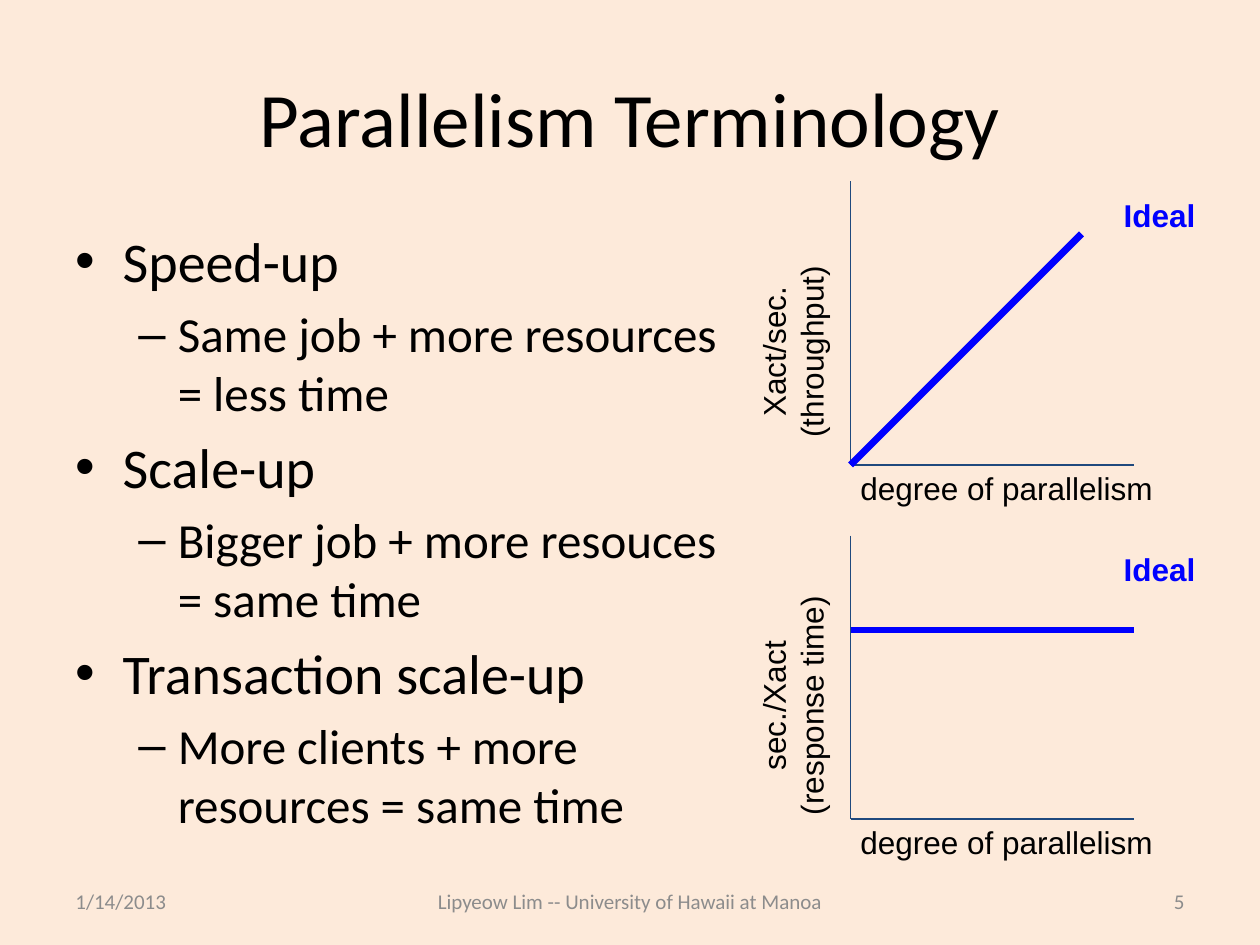
import pptx
import pptx.dml.color
import pptx.enum.shapes
import pptx.enum.text
import pptx.oxml
import pptx.oxml.ns
import pptx.util

Pt = pptx.util.Pt
ALIGN = pptx.enum.text.PP_ALIGN
ANCHOR = pptx.enum.text.MSO_ANCHOR
FIT = pptx.enum.text.MSO_AUTO_SIZE
NS = pptx.oxml.ns.nsdecls("a")


def color(code):
    return pptx.dml.color.RGBColor.from_string(code)


def style(item, values):
    for name, value in values.items():
        setattr(item, name, value)


class Deck:
    """Draws styled elements on the current slide."""

    ink, navy, blue, gray = "000000", "1F497D", "0000FF", "8C8C8C"
    label = {"name": "Arial", "size": Pt(18)}
    levels = [
        {"char": "•", "size": 32, "left": 27, "hang": 27},
        {"char": "–", "size": 28, "left": 58.5, "hang": 22.5},
    ]

    def __init__(self):
        self.file = pptx.Presentation()
        style(self.file, {"slide_width": Pt(720), "slide_height": Pt(540)})
        self.slide = self.file.slides.add_slide(self.file.slide_layouts[6])
        fill = self.slide.background.fill
        fill.solid()
        fill.fore_color.rgb = color("FDEADA")

    def box(self, left, top, width, height, **frame):
        shape = self.slide.shapes.add_textbox(Pt(left), Pt(top), Pt(width), Pt(height))
        style(shape.text_frame, {"word_wrap": True, **frame})
        return shape

    def words(self, para, text, font, ink=ink):
        run = para.add_run()
        run.text = text
        style(run.font, font)
        run.font.color.rgb = color(ink)

    def text(self, place, lines, font, ink=ink, align=ALIGN.LEFT, turn=0, **frame):
        shape = self.box(*place, **frame)
        shape.rotation = turn
        for i, line in enumerate(lines):
            para = shape.text_frame.add_paragraph() if i else shape.text_frame.paragraphs[0]
            para.alignment = align
            self.words(para, line, font, ink)

    def tag(self, place, lines, bold=False, **look):
        self.text(place, lines, {**self.label, "bold": bold},
                  word_wrap=False, auto_size=FIT.SHAPE_TO_FIT_TEXT, **look)

    def bullets(self, place, items):
        frame = self.box(*place).text_frame
        for i, (level, line) in enumerate(items):
            para = frame.add_paragraph() if i else frame.paragraphs[0]
            look = self.levels[level]
            style(para, {"level": level, "space_before": Pt(look["size"] * 0.2 if i else 0)})
            props = para._p.get_or_add_pPr()
            props.set("marL", str(Pt(look["left"])))
            props.set("indent", str(-Pt(look["hang"])))
            for bit in ('buFont %s typeface="Arial"', f'buChar %s char="{look["char"]}"'):
                props.append(pptx.oxml.parse_xml(f"<a:{bit % NS}/>"))
            self.words(para, line, {"name": "Calibri", "size": Pt(look["size"])})

    def line(self, start, end, ink=navy, width=1):
        kind = pptx.enum.shapes.MSO_CONNECTOR.STRAIGHT
        wire = self.slide.shapes.add_connector(kind, *map(Pt, (*start, *end)))
        wire.line.color.rgb = color(ink)
        wire.line.width = Pt(width)
        wire._element.spPr.append(pptx.oxml.parse_xml(f"<a:effectLst {NS}/>"))

    def plot(self, base, side, start, end):
        left, size = 486, 162
        self.line((left, base - size), (left, base))
        self.line((left, base), (left + size, base))
        self.tag((484.5, base - 1, 184, 29), ["degree of parallelism"])
        self.tag((383, base - 97.2, 154, 65), side, align=ALIGN.CENTER, turn=270)
        self.line((left, base - start), (left + end[0], base - end[1]), self.blue, 4)
        self.tag((635, base - 157, 70.5, 36), ["Ideal"], ink=self.blue, bold=True)


def main():
    deck = Deck()
    deck.text((36, 21.6, 648, 90), ["Parallelism Terminology"],
              {"name": "Calibri", "size": Pt(44)},
              align=ALIGN.CENTER, vertical_anchor=ANCHOR.MIDDLE)
    deck.bullets((36, 126, 384, 356.4), [
        (0, "Speed-up"),
        (1, "Same job + more resources = less time"),
        (0, "Scale-up"),
        (1, "Bigger job + more resouces = same time"),
        (0, "Transaction scale-up"),
        (1, "More clients + more resources = same time"),
    ])
    for left, width, line, align in [
        (36, 168, "1/14/2013", ALIGN.LEFT),
        (216, 288, "Lipyeow Lim -- University of Hawaii at Manoa", ALIGN.CENTER),
        (516, 168, "5", ALIGN.RIGHT),
    ]:
        deck.text((left, 500.5, width, 28.8), [line], {"name": "Calibri", "size": Pt(12)},
                  deck.gray, align, vertical_anchor=ANCHOR.MIDDLE)
    deck.plot(265.7, ["Xact/sec.", "(throughput)"], 0, (132, 132))
    deck.plot(468, ["sec./Xact", "(response time)"], 108, (162, 108))
    deck.file.save("out.pptx")


if __name__ == "__main__":
    main()
